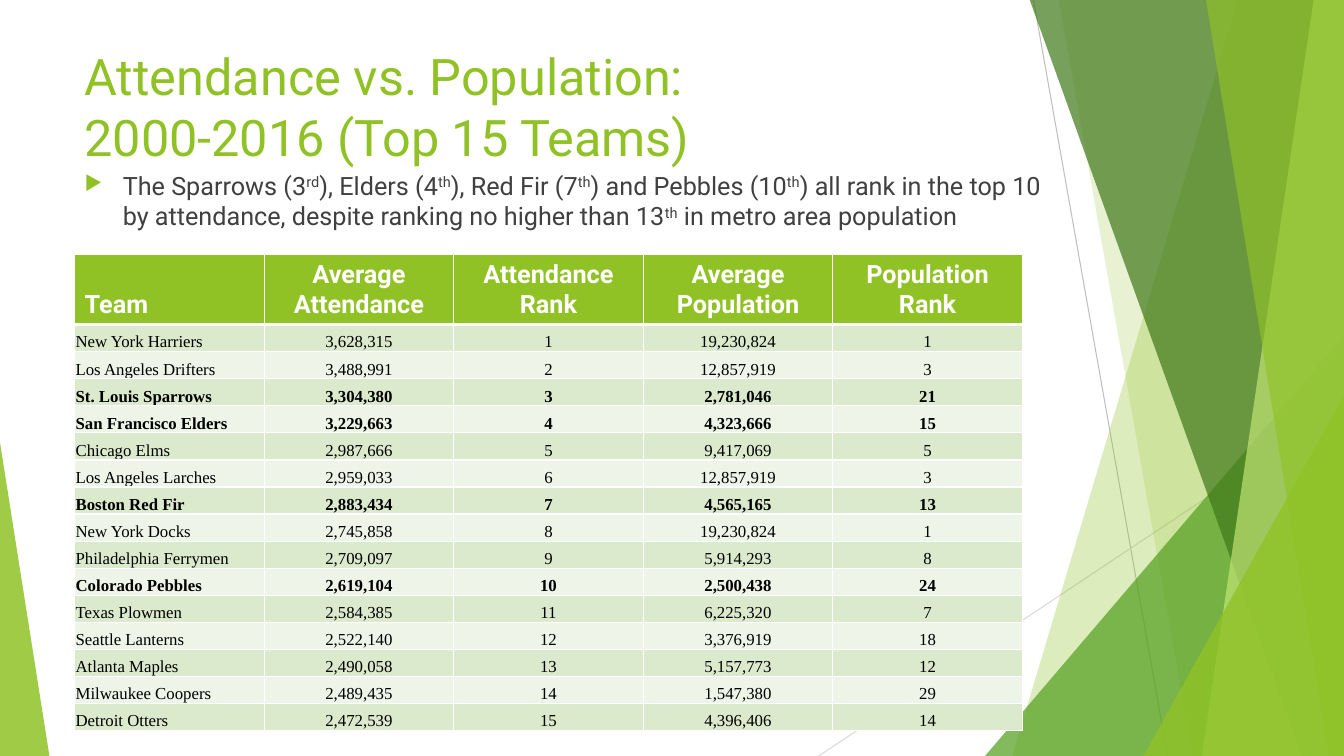
"""Build the slide comparing ballpark attendance with metro population."""
from dataclasses import dataclass
from typing import NamedTuple

import lxml.etree
import pptx
import pptx.dml.color
import pptx.enum.shapes
import pptx.enum.text
import pptx.oxml.ns
import pptx.shapes.autoshape
import pptx.slide
import pptx.table
import pptx.text.text
import pptx.util

Inches = pptx.util.Inches
qn = pptx.oxml.ns.qn
ALIGN = pptx.enum.text.PP_ALIGN
ANCHOR = pptx.enum.text.MSO_ANCHOR


@dataclass(frozen=True)
class Theme:
    heading_font: str = "Roboto"
    figures_font: str = "Times New Roman"
    accent: str = "90C226"
    leaf: str = "54A021"
    forest: str = "3F7819"
    lime: str = "C0E474"
    body: str = "404040"
    ink: str = "000000"
    white: str = "FFFFFF"
    band_dark: str = "DBE9CD"
    band_light: str = "EEF4E8"
    line_dark: str = "BFBFBF"
    line_light: str = "D9D9D9"
    title_size: int = 36
    text_size: int = 18
    figures_size: int = 12


class Ray(NamedTuple):
    start: tuple[float, float]
    end: tuple[float, float]
    color: str


class Facet(NamedTuple):
    top_left: float
    bottom_left: float
    color: str
    opacity: int


class Wedge(NamedTuple):
    left: float
    top: float
    width: float
    apex: int
    color: str
    opacity: int


class Team(NamedTuple):
    name: str
    attendance: str
    attendance_rank: int
    population: str
    population_rank: int


THEME = Theme()
WIDTH, HEIGHT = 13.33, 7.5
TABLE_HEIGHT, HEADING_HEIGHT = 4.71, 0.68
RAYS = [
    Ray((10.25, 0), (11.58, HEIGHT), THEME.line_dark),
    Ray((WIDTH, 4.03), (8.12, HEIGHT), THEME.line_light),
]
DECOR = [
    Facet(12.28, 10.04, THEME.accent, 30),
    Facet(10.5, 11.83, THEME.accent, 20),
    Wedge(9.77, 3.33, 3.56, 1, THEME.leaf, 72),
    Facet(10.21, 12.91, THEME.forest, 70),
    Facet(13.03, 11.92, THEME.lime, 70),
    Facet(11.96, 13.18, THEME.accent, 65),
    Wedge(11.34, 3.93, 1.99, 1, THEME.accent, 80),
    Wedge(0, 4.39, 0.49, 0, THEME.accent, 85),
]
TITLE = ["Attendance vs. Population: ", "2000-2016 (Top 15 Teams)"]
FINDING = [
    ("The Sparrows (3", "rd"), ("), Elders (4", "th"), ("), Red Fir (7", "th"),
    (") and Pebbles (10", "th"),
    (") all rank in the top 10 by attendance, despite ranking no higher than 13", "th"),
    (" in metro area population", ""),
]
HEADINGS = [["Team"], ["Average", "Attendance"], ["Attendance", "Rank"],
            ["Average Population"], ["Population", "Rank"]]
HIGHLIGHTED_RANKS = {3, 4, 7, 10}
TEAMS = [
    Team("New York Harriers", "3,628,315", 1, "19,230,824", 1),
    Team("Los Angeles Drifters", "3,488,991", 2, "12,857,919", 3),
    Team("St. Louis Sparrows", "3,304,380", 3, "2,781,046", 21),
    Team("San Francisco Elders", "3,229,663", 4, "4,323,666", 15),
    Team("Chicago Elms", "2,987,666", 5, "9,417,069", 5),
    Team("Los Angeles Larches", "2,959,033", 6, "12,857,919", 3),
    Team("Boston Red Fir", "2,883,434", 7, "4,565,165", 13),
    Team("New York Docks", "2,745,858", 8, "19,230,824", 1),
    Team("Philadelphia Ferrymen", "2,709,097", 9, "5,914,293", 8),
    Team("Colorado Pebbles", "2,619,104", 10, "2,500,438", 24),
    Team("Texas Plowmen", "2,584,385", 11, "6,225,320", 7),
    Team("Seattle Lanterns", "2,522,140", 12, "3,376,919", 18),
    Team("Atlanta Maples", "2,490,058", 13, "5,157,773", 12),
    Team("Milwaukee Coopers", "2,489,435", 14, "1,547,380", 29),
    Team("Detroit Otters", "2,472,539", 15, "4,396,406", 14),
]


def rgb(color: str) -> pptx.dml.color.RGBColor:
    return pptx.dml.color.RGBColor.from_string(color)


def add_run(paragraph: pptx.text.text._Paragraph, text: str, font: str, size: int,
            color: str, bold: bool = False, raised: bool = False) -> None:
    run = paragraph.add_run()
    run.text = text
    run.font.name, run.font.size = font, pptx.util.Pt(size)
    run.font.bold = bold
    run.font.color.rgb = rgb(color)
    if raised:
        run._r.get_or_add_rPr().set("baseline", "30000")


def add_ray(slide: pptx.slide.Slide, ray: Ray) -> None:
    connector = slide.shapes.add_connector(
        pptx.enum.shapes.MSO_CONNECTOR.STRAIGHT,
        *(Inches(value) for value in ray.start + ray.end))
    connector.line.color.rgb = rgb(ray.color)
    connector.line.width = pptx.util.Pt(0.75)
    lxml.etree.SubElement(connector._element.spPr, qn("a:effectLst"))


def paint(shape: pptx.shapes.autoshape.Shape, color: str, opacity: int) -> None:
    shape.shadow.inherit = False
    shape.line.fill.background()
    shape.fill.solid()
    shape.fill.fore_color.rgb = rgb(color)
    tint = shape._element.spPr.find(".//" + qn("a:srgbClr"))
    lxml.etree.SubElement(tint, qn("a:alpha"), val=str(opacity * 1000))


def add_facet(slide: pptx.slide.Slide, facet: Facet) -> None:
    outline = slide.shapes.build_freeform(Inches(facet.top_left), Inches(-0.01))
    corners = [(WIDTH, -0.01), (WIDTH, HEIGHT), (facet.bottom_left, HEIGHT)]
    outline.add_line_segments([(Inches(x), Inches(y)) for x, y in corners])
    paint(outline.convert_to_shape(), facet.color, facet.opacity)


def add_wedge(slide: pptx.slide.Slide, wedge: Wedge) -> None:
    triangle = slide.shapes.add_shape(
        pptx.enum.shapes.MSO_SHAPE.ISOSCELES_TRIANGLE, Inches(wedge.left),
        Inches(wedge.top), Inches(wedge.width), Inches(HEIGHT - wedge.top))
    triangle.adjustments[0] = wedge.apex
    paint(triangle, wedge.color, wedge.opacity)


def add_paragraph_box(slide: pptx.slide.Slide, left: float, top: float, width: float,
                      height: float) -> pptx.text.text._Paragraph:
    frame = slide.shapes.add_textbox(
        Inches(left), Inches(top), Inches(width), Inches(height)).text_frame
    frame.word_wrap = True
    return frame.paragraphs[0]


def add_title(slide: pptx.slide.Slide) -> None:
    title = add_paragraph_box(slide, 0.74, 0.4, 9.4, 1.44)
    for index, line in enumerate(TITLE):
        if index:
            title.add_line_break()
        add_run(title, line, THEME.heading_font, THEME.title_size, THEME.accent)


def add_finding(slide: pptx.slide.Slide) -> None:
    finding = add_paragraph_box(slide, 0.74, 1.64, 9.97, 0.88)
    properties = finding._p.get_or_add_pPr()
    properties.set("marL", str(Inches(0.38)))
    properties.set("indent", str(Inches(-0.38)))
    bullet_color = lxml.etree.SubElement(properties, qn("a:buClr"))
    lxml.etree.SubElement(bullet_color, qn("a:srgbClr"), val=THEME.accent)
    lxml.etree.SubElement(properties, qn("a:buSzPct"), val="80000")
    lxml.etree.SubElement(properties, qn("a:buChar"), char="▶")
    for text, ordinal in FINDING:
        add_run(finding, text, THEME.heading_font, THEME.text_size, THEME.body)
        if ordinal:
            add_run(finding, ordinal, THEME.heading_font, THEME.text_size, THEME.body, raised=True)


def style_cell(cell: pptx.table._Cell, fill: str, top: int = 1, bottom: int = 1) -> None:
    properties = cell._tc.get_or_add_tcPr()
    for side, points in zip("LRTB", (1, 1, top, bottom)):
        edge = lxml.etree.SubElement(properties, qn(f"a:ln{side}"), w=str(pptx.util.Pt(points)))
        solid = lxml.etree.SubElement(edge, qn("a:solidFill"))
        lxml.etree.SubElement(solid, qn("a:srgbClr"), val=THEME.white)
    cell.fill.solid()
    cell.fill.fore_color.rgb = rgb(fill)
    cell.vertical_anchor = ANCHOR.BOTTOM


def add_rankings(slide: pptx.slide.Slide) -> None:
    table = slide.shapes.add_table(len(TEAMS) + 1, len(HEADINGS), Inches(0.74), Inches(2.52),
                                   Inches(9.4), Inches(TABLE_HEIGHT)).table
    team_height = (TABLE_HEIGHT - HEADING_HEIGHT) / len(TEAMS)
    for index, row in enumerate(table.rows):
        row.height = Inches(team_height if index else HEADING_HEIGHT)
    for column, heading in enumerate(HEADINGS):
        cell = table.cell(0, column)
        style_cell(cell, THEME.accent, bottom=3)
        for index, line in enumerate(heading):
            paragraph = cell.text_frame.add_paragraph() if index else cell.text_frame.paragraphs[0]
            paragraph.alignment = ALIGN.CENTER if column else ALIGN.LEFT
            add_run(paragraph, line, THEME.heading_font, THEME.text_size, THEME.white, bold=True)
    for index, team in enumerate(TEAMS, start=1):
        for column, value in enumerate(team):
            cell = table.cell(index, column)
            style_cell(cell, THEME.band_dark if index % 2 else THEME.band_light,
                       top=3 if index == 1 else 1)
            cell.margin_left = cell.margin_right = cell.margin_top = Inches(0.01)
            cell.margin_bottom = 0
            paragraph = cell.text_frame.paragraphs[0]
            paragraph.alignment = ALIGN.CENTER if column else ALIGN.LEFT
            paragraph.line_spacing = 1.07
            add_run(paragraph, str(value), THEME.figures_font, THEME.figures_size, THEME.ink,
                    bold=team.attendance_rank in HIGHLIGHTED_RANKS)


def main() -> None:
    deck = pptx.Presentation()
    deck.slide_width, deck.slide_height = Inches(WIDTH), Inches(HEIGHT)
    slide = deck.slides.add_slide(deck.slide_layouts[6])
    for ray in RAYS:
        add_ray(slide, ray)
    for part in DECOR:
        if isinstance(part, Facet):
            add_facet(slide, part)
        else:
            add_wedge(slide, part)
    add_title(slide)
    add_rankings(slide)
    add_finding(slide)
    deck.save("out.pptx")


if __name__ == "__main__":
    main()
